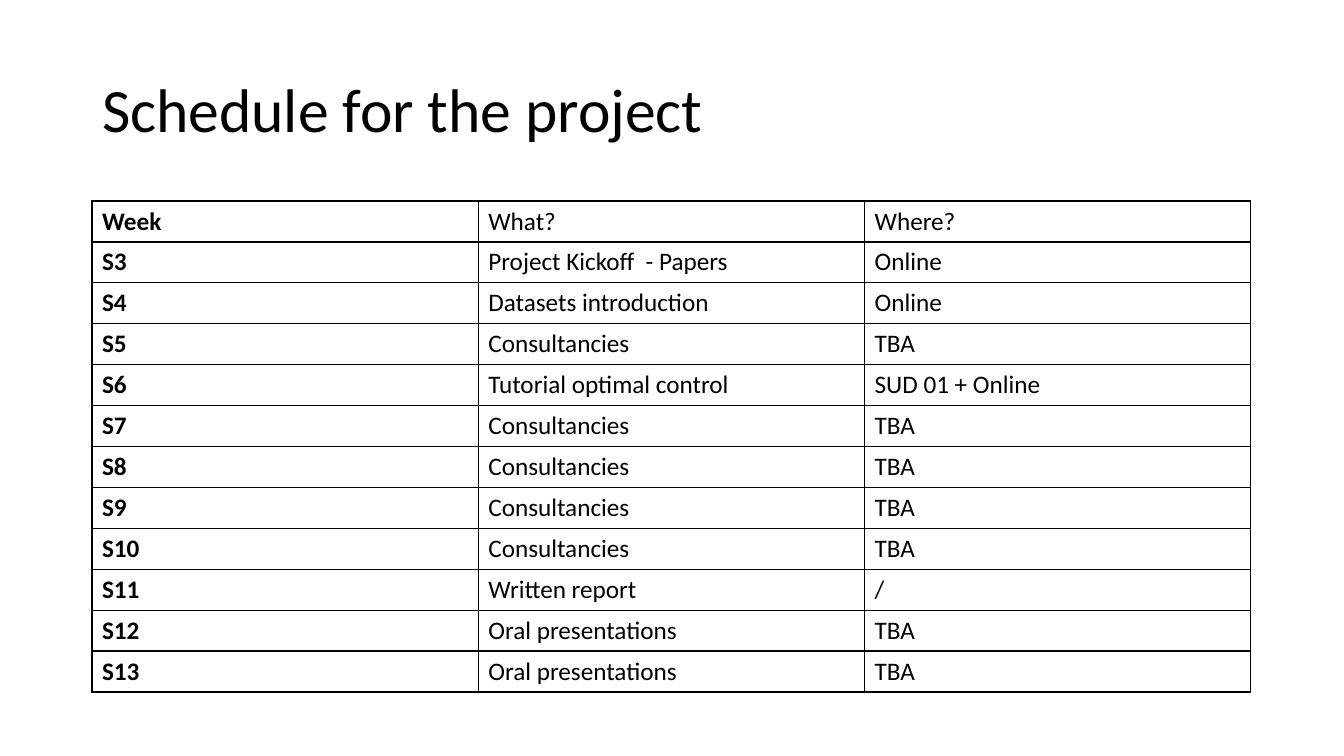
from lxml import etree
from pptx import Presentation
from pptx.dml.color import RGBColor
from pptx.enum.text import MSO_ANCHOR, PP_ALIGN
from pptx.oxml.ns import qn
from pptx.util import Emu, Pt

MIDDLE, LEFT = MSO_ANCHOR.MIDDLE, PP_ALIGN.LEFT
BLACK = RGBColor(0, 0, 0)
FONT = "Calibri"

# Content
TITLE = "Schedule for the project"
SCHEDULE = [
    ("Week", "What?", "Where?"),
    ("S3", "Project Kickoff  - Papers", "Online"),
    ("S4", "Datasets introduction", "Online"),
    ("S5", "Consultancies", "TBA"),
    ("S6", "Tutorial optimal control", "SUD 01 + Online"),
    ("S7", "Consultancies", "TBA"),
    ("S8", "Consultancies", "TBA"),
    ("S9", "Consultancies", "TBA"),
    ("S10", "Consultancies", "TBA"),
    ("S11", "Written report", "/"),
    ("S12", "Oral presentations", "TBA"),
    ("S13", "Oral presentations", "TBA"),
]

# Layout in pixels
SCALE = 914400 / 100.8
SLIDE_SIZE = (1344, 756)
TITLE_BOX = (92, 40, 1159, 146)
TABLE_BOX = (92, 201, 1159, 491)


def px(length):
    return Emu(round(length * SCALE))


def style_text(paragraph, size, bold=False):
    paragraph.alignment = LEFT
    for run in paragraph.runs:
        font = run.font
        font.name, font.size, font.bold = FONT, Pt(size), bold
        font.color.rgb = BLACK


def add_borders(cell):
    properties = cell._tc.get_or_add_tcPr()
    for position, side in enumerate(("lnL", "lnR", "lnT", "lnB")):
        line = etree.Element(qn(f"a:{side}"), w=str(Pt(1)))
        fill = etree.SubElement(line, qn("a:solidFill"))
        etree.SubElement(fill, qn("a:srgbClr"), val=str(BLACK))
        properties.insert(position, line)


presentation = Presentation()
presentation.slide_width, presentation.slide_height = map(px, SLIDE_SIZE)
slide = presentation.slides.add_slide(presentation.slide_layouts[5])

# Title
title = slide.shapes.title
title.left, title.top, title.width, title.height = map(px, TITLE_BOX)
title.text_frame.text = TITLE
title.text_frame.vertical_anchor = MIDDLE
title_paragraph = title.text_frame.paragraphs[0]
title_paragraph.line_spacing = 0.9
style_text(title_paragraph, 44)

# Schedule table
table = slide.shapes.add_table(
    len(SCHEDULE), len(SCHEDULE[0]), *map(px, TABLE_BOX)).table
table.first_row = table.horz_banding = False
for row_index, entries in enumerate(SCHEDULE):
    for column_index, text in enumerate(entries):
        cell = table.cell(row_index, column_index)
        cell.text_frame.text = text
        cell.fill.background()
        add_borders(cell)
        style_text(cell.text_frame.paragraphs[0], 18, bold=column_index == 0)

presentation.save("out.pptx")
